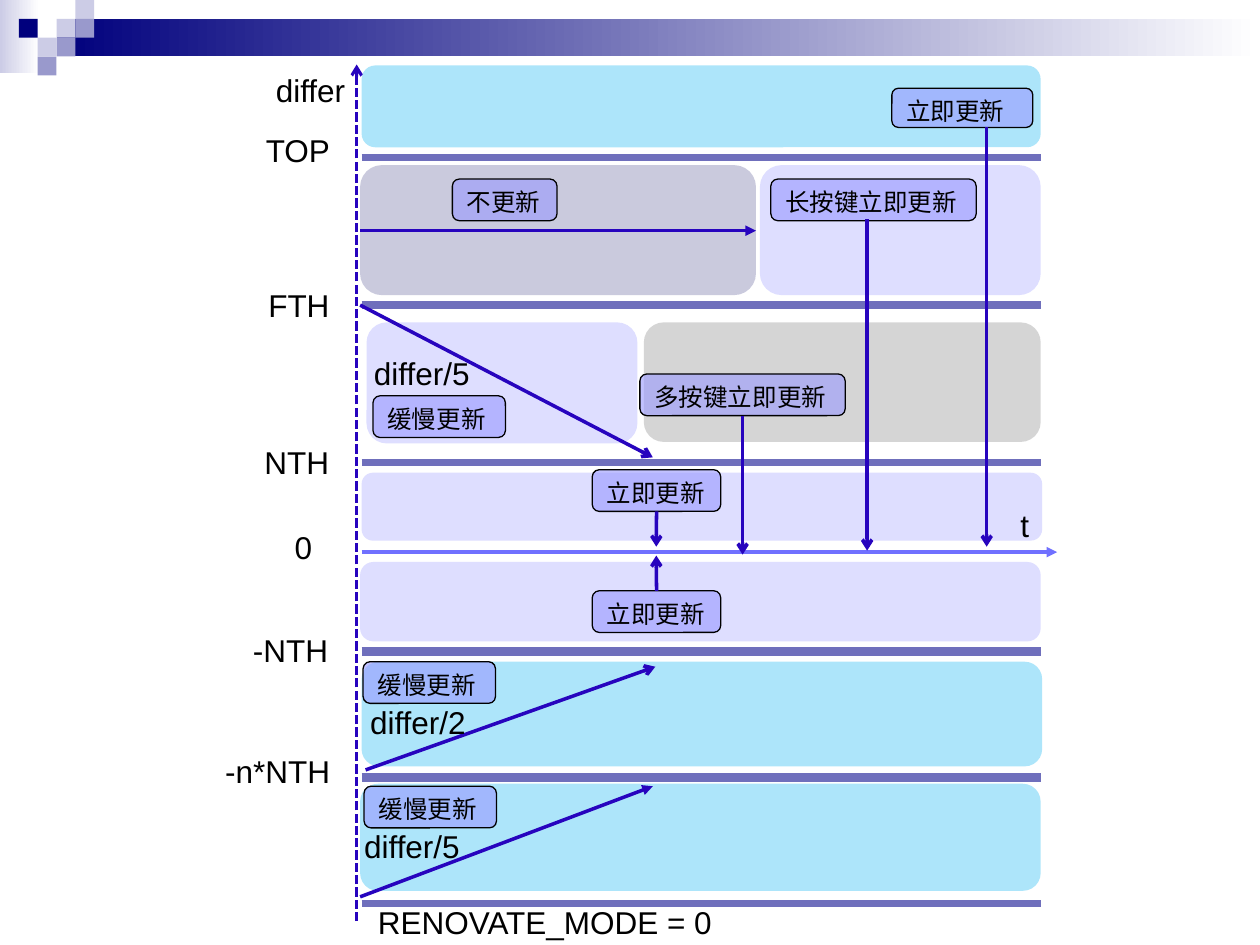
from lxml import etree
from pptx import Presentation
from pptx import util as u
from pptx.dml.color import RGBColor
from pptx.enum import dml, shapes, text
from pptx.oxml.ns import qn

NAVY, LAVENDER, VIOLET = "00007D", "CCCCE6", "9999CC"
LILAC, CYAN, SLATE, GREY = "9999FF", "00B0F0", "5B5B98", "7F7F7F"
ARROW, RULE, TIME, BLACK, WHITE = "2704BE", "6F6FBC", "7070FF", "000000", "FFFFFF"
FONT = "Arial"
LEFT, RIGHT = 7.29, 20.98
CELL = 0.38
ZERO_Y = 11.13

MOSAIC = [(3, 1, LAVENDER), (4, 0, LAVENDER), (4, 1, VIOLET), (2, 2, LAVENDER),
          (1, 1, NAVY), (3, 2, VIOLET), (2, 3, VIOLET)]  # column, row, colour

BANDS = [
    (7.29, 1.32, 13.69, 1.65, CYAN),
    (7.26, 3.33, 7.98, 2.62, SLATE),
    (15.32, 3.33, 5.66, 2.62, LILAC),
    (7.39, 6.5, 5.46, 2.44, LILAC),
    (12.98, 6.5, 8, 2.41, GREY),
    (7.29, 9.53, 13.72, 1.37, LILAC),
    (7.26, 11.33, 13.72, 1.6, LILAC),
    (7.29, 13.34, 13.72, 2.11, CYAN),
    (7.26, 15.8, 13.72, 2.16, CYAN),
]

THRESHOLDS = [(3.18, 4), (6.15, 4.6), (9.32, 4), (13.13, 5), (15.67, 5), (18.21, 4)]

ARROWS = [
    (7.26, 4.65, 15.24, 4.65, "triangle"),
    (7.26, 6.15, 13.16, 9.22, "arrow"),
    (17.48, 4.42, 17.48, 11.1, "arrow"),
    (19.89, 2.57, 19.89, 11.02, "arrow"),
    (7.37, 15.52, 13.21, 13.44, "arrow"),
    (7.26, 18.08, 13.16, 15.85, "triangle"),
]

ACTIONS = [
    ("立即更新", 17.98, 1.78, 2.84, 0.79),
    ("不更新", 9.12, 3.61, 2.11, 0.84),
    ("长按键立即更新", 15.54, 3.61, 4.14, 0.84),
    ("缓慢更新", 7.52, 7.98, 2.67, 0.84),
    ("缓慢更新", 7.32, 13.34, 2.67, 0.84),
    ("缓慢更新", 7.34, 15.85, 2.67, 0.84),
]

# Actions with an arrow: box, connection site, arrow tip
LINKED_ACTIONS = [
    (("多按键立即更新", 12.9, 7.54, 4.14, 0.84), 2, (14.97, 11.18)),
    (("立即更新", 11.94, 9.47, 2.59, 0.84), 2, (13.23, 11.02)),
    (("立即更新", 11.94, 11.91, 2.59, 0.84), 0, (13.23, 11.2)),
]

CAPTIONS = [
    ("differ", 5.31, 1.3, 1.91),
    ("TOP", 5.11, 2.51, 1.85),
    ("FTH", 5.16, 5.64, 1.8),
    ("NTH", 5.08, 8.81, 1.85),
    ("0", 5.69, 10.52, 0.9),
    ("-NTH", 4.85, 12.6, 2.06),
    ("-n*NTH", 4.29, 15.04, 2.64),
    ("t", 20.32, 10.08, 0.69),
    ("differ/5", 7.29, 7.01, 2.44),
    ("differ/2", 7.21, 14.05, 2.44),
    ("differ/5", 7.09, 16.54, 2.44),
    ("RENOVATE_MODE = 0", 7.37, 18.08, 7.34),
]


def rgb(value):
    return RGBColor.from_string(value)


def add_box(slide, kind, left, top, width, height):
    shape = slide.shapes.add_shape(kind, u.Cm(left), u.Cm(top), u.Cm(width), u.Cm(height))
    shape.shadow.inherit = False
    shape.line.fill.background()
    return shape


def fill_solid(shape, colour, alpha=100):
    """Fill with a colour at the given opacity in percent."""
    shape.fill.solid()
    shape.fill.fore_color.rgb = rgb(colour)
    if alpha < 100:
        node = shape._element.spPr.find(qn("a:solidFill"))[0]
        etree.SubElement(node, qn("a:alpha")).set("val", str(alpha * 1000))


def add_fade(slide, left, top, width, height, start, end):
    """Add a rectangle that fades from left to right."""
    shape = add_box(slide, shapes.MSO_SHAPE.RECTANGLE, left, top, width, height)
    shape.fill.gradient()
    shape.fill.gradient_angle = 0
    for stop, colour in zip(shape.fill.gradient_stops, (start, end)):
        stop.color.rgb = rgb(colour)


def add_header(slide):
    add_fade(slide, 0, 0, 0.79, 1.47, LAVENDER, WHITE)
    add_fade(slide, 3 * CELL, CELL, 24.26, 2 * CELL, NAVY, WHITE)
    for column, row, colour in MOSAIC:
        square = add_box(slide, shapes.MSO_SHAPE.RECTANGLE,
                         column * CELL, row * CELL, CELL, CELL)
        fill_solid(square, colour)


def add_band(slide, left, top, width, height, colour):
    band = add_box(slide, shapes.MSO_SHAPE.ROUNDED_RECTANGLE, left, top, width, height)
    fill_solid(band, colour, 32)


def add_line(slide, x1, y1, x2, y2, colour=ARROW, width=2, tail=None):
    line = slide.shapes.add_connector(shapes.MSO_CONNECTOR.STRAIGHT,
                                      u.Cm(x1), u.Cm(y1), u.Cm(x2), u.Cm(y2))
    line.line.color.rgb = rgb(colour)
    line.line.width = u.Pt(width)
    if tail:
        etree.SubElement(line.line._get_or_add_ln(), qn("a:tailEnd")).set("type", tail)
    etree.SubElement(line._element.spPr, qn("a:effectLst"))
    return line


def write(shape, content, size):
    shape.text_frame.text = content
    paragraph = shape.text_frame.paragraphs[0]
    paragraph.alignment = text.PP_ALIGN.LEFT
    font = paragraph.runs[0].font
    font.name, font.size = FONT, u.Pt(size)
    font.color.rgb = rgb(BLACK)


def add_action(slide, content, left, top, width, height):
    shape = add_box(slide, shapes.MSO_SHAPE.ROUNDED_RECTANGLE, left, top, width, height)
    fill_solid(shape, LILAC, 60)
    shape.line.color.rgb = rgb(BLACK)
    shape.line.width = u.Pt(0.75)
    shape.text_frame.vertical_anchor = text.MSO_ANCHOR.TOP
    write(shape, content, 14)
    return shape


def add_caption(slide, content, left, top, width):
    box = slide.shapes.add_textbox(u.Cm(left), u.Cm(top), u.Cm(width), u.Cm(1.02))
    box.text_frame.word_wrap = False
    box.text_frame.auto_size = text.MSO_AUTO_SIZE.SHAPE_TO_FIT_TEXT
    write(box, content, 18)


def main():
    presentation = Presentation()
    presentation.slide_width, presentation.slide_height = u.Cm(25.4), u.Cm(19.05)
    slide = presentation.slides.add_slide(presentation.slide_layouts[6])

    add_header(slide)
    for band in BANDS:
        add_band(slide, *band)
    for y, width in THRESHOLDS:
        add_line(slide, LEFT, y, RIGHT, y, RULE, width)
    axis = add_line(slide, 7.19, 18.57, 7.19, 1.3, width=1.75, tail="arrow")
    axis.line.dash_style = dml.MSO_LINE.SQUARE_DOT
    add_line(slide, LEFT, ZERO_Y, 21.31, ZERO_Y, TIME, tail="triangle")

    for action in ACTIONS:
        add_action(slide, *action)
    for *ends, tail in ARROWS:
        add_line(slide, *ends, tail=tail)
    for action, site, tip in LINKED_ACTIONS:
        box = add_action(slide, *action)
        add_line(slide, *tip, *tip, tail="arrow").begin_connect(box, site)
    for caption in CAPTIONS:
        add_caption(slide, *caption)

    presentation.save("out.pptx")


if __name__ == "__main__":
    main()
